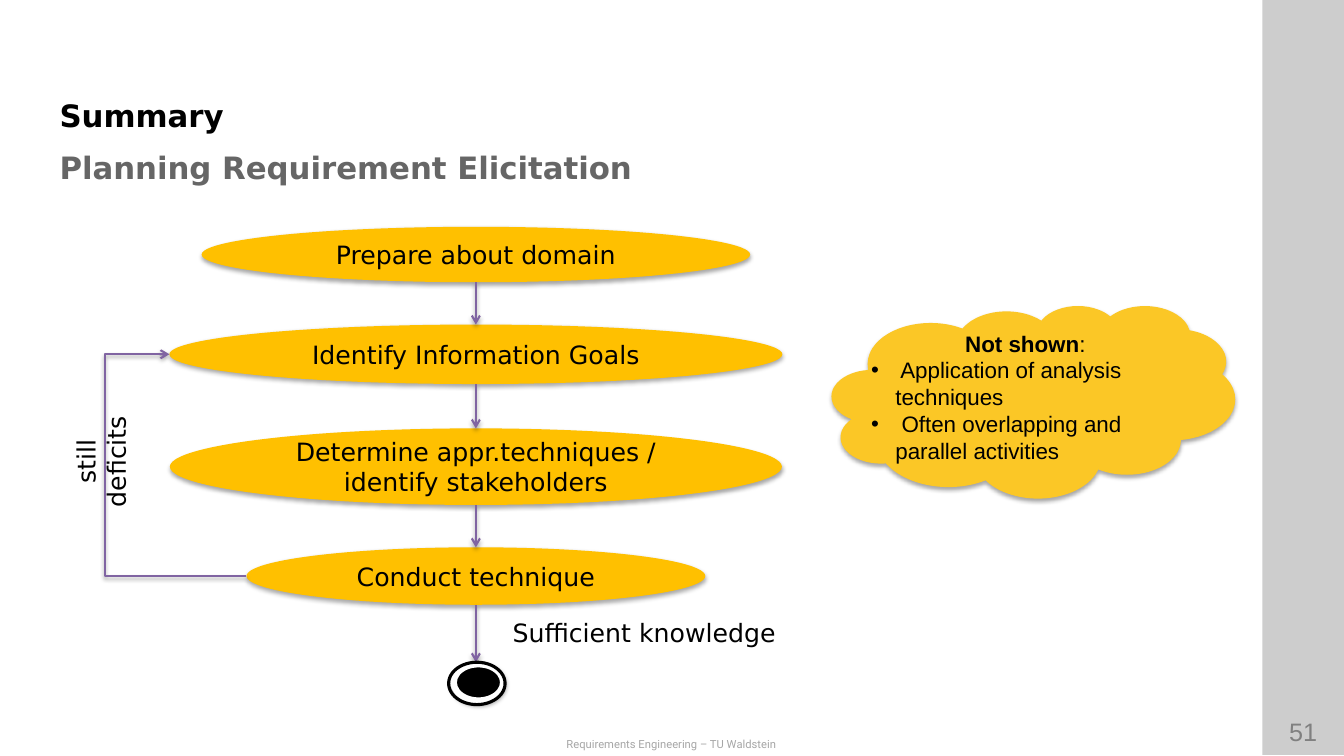
from dataclasses import dataclass
from itertools import pairwise

from lxml.etree import SubElement
from pptx import Presentation
from pptx.dml.color import RGBColor
from pptx.enum.shapes import MSO_CONNECTOR as Connector, MSO_SHAPE as Preset
from pptx.enum.text import MSO_ANCHOR as Anchor, MSO_AUTO_SIZE as AutoSize, PP_ALIGN as Align
from pptx.oxml.ns import qn
from pptx.util import Inches, Pt

BLACK = RGBColor(0x00, 0x00, 0x00)
WHITE = RGBColor(0xFF, 0xFF, 0xFF)
AMBER = RGBColor(0xFF, 0xC0, 0x00)
CLOUD_YELLOW = RGBColor(0xFB, 0xC7, 0x26)
PURPLE = RGBColor(0x80, 0x64, 0xA2)
SIDEBAR_GREY = RGBColor(0xCD, 0xCD, 0xCD)
SUBTITLE_GREY = RGBColor(0x66, 0x66, 0x66)
NUMBER_GREY = RGBColor(0x80, 0x80, 0x80)
FOOTER_GREY = RGBColor(0xA6, 0xA6, 0xA6)

MAIN_FONT = "DejaVu Sans"
CELL = Inches(0.1)  # one column or row of the grid
FLOW_CENTER = 47.2  # column shared by all steps
LOOP_COLUMN = 10.4  # column of the feedback line


@dataclass(frozen=True)
class Box:
    """A place on the grid, in columns and rows."""
    left: float
    top: float
    width: float
    height: float

    def lengths(self) -> list[int]:
        return [cells(n) for n in (self.left, self.top, self.width, self.height)]


@dataclass(frozen=True)
class Step:
    text: str
    top: float
    width: float
    height: float

    @property
    def left(self) -> float:
        return FLOW_CENTER - self.width / 2

    @property
    def bottom(self) -> float:
        return self.top + self.height

    @property
    def middle(self) -> float:
        return self.top + self.height / 2


@dataclass(frozen=True)
class Label:
    text: str
    box: Box
    size: float = 18
    font: str = MAIN_FONT
    color: RGBColor = BLACK
    rotation: float = 0


STEPS = [
    Step("Prepare about domain", 22.5, 54.4, 5.5),
    Step("Identify Information Goals", 32.2, 60.8, 5.9),
    Step("Determine appr.techniques / identify stakeholders", 42.5, 60.7, 7.6),
    Step("Conduct technique", 54.3, 45.5, 5.7),
]
END_TOP = 65.7
LABELS = [
    Label("51", Box(125.1, 70.6, 8.3, 4), 18, "Arial", NUMBER_GREY),
    Label("Requirements Engineering – TU Waldstein", Box(0, 72.7, 133.2, 2.3), 8, "Roboto", FOOTER_GREY),
    Label("still deficits", Box(2.5, 42.3, 15, 7), rotation=270),
    Label("Sufficient knowledge", Box(45.6, 60.8, 36.6, 4)),
]
CLOUD_POINTS = [" Application of analysis techniques", " Often overlapping and parallel activities"]


def cells(count: float) -> int:
    return round(count * CELL)


def format_text(paragraph, size: float, font: str, color: RGBColor, align, bold: bool = False) -> None:
    paragraph.alignment = align
    paragraph.space_before = Pt(0)
    paragraph.font.size = Pt(size)
    paragraph.font.name = font
    paragraph.font.color.rgb = color
    paragraph.font.bold = bold


def set_indent(paragraph, margin: int, bullet: bool) -> None:
    properties = paragraph._p.get_or_add_pPr()
    properties.set("marL", str(margin))
    properties.set("indent", str(-margin))
    if not bullet:
        SubElement(properties, qn("a:buNone"))


def add_shadow(shape) -> None:
    properties = shape.element.spPr
    effects = properties.find(qn("a:effectLst"))
    if effects is None:
        effects = SubElement(properties, qn("a:effectLst"))
    shadow = SubElement(effects, qn("a:outerShdw"), blurRad=str(Pt(3.1)), dist=str(Pt(1.8)),
                        dir="5400000", rotWithShape="0")
    color = SubElement(shadow, qn("a:srgbClr"), val=str(BLACK))
    SubElement(color, qn("a:alpha"), val="35000")


def add_preset(slide, preset, box: Box, fill: RGBColor | None, line: RGBColor | None = None,
               line_width: float = 0, shadow: bool = True):
    shape = slide.shapes.add_shape(preset, *box.lengths())
    shape.shadow.inherit = False
    if fill is None:
        shape.fill.background()
    else:
        shape.fill.solid()
        shape.fill.fore_color.rgb = fill
    if line is None:
        shape.line.fill.background()
    else:
        shape.line.color.rgb = line
        shape.line.width = Pt(line_width)
    if shadow:
        add_shadow(shape)
    return shape


def add_step(slide, step: Step) -> None:
    box = Box(step.left, step.top, step.width, step.height)
    frame = add_preset(slide, Preset.OVAL, box, AMBER).text_frame
    frame.word_wrap = True
    frame.vertical_anchor = Anchor.MIDDLE
    frame.text = step.text
    format_text(frame.paragraphs[0], 18, MAIN_FONT, BLACK, Align.CENTER)


def add_arrow(slide, kind, *ends: float):
    arrow = slide.shapes.add_connector(kind, *(cells(end) for end in ends))
    arrow.line.color.rgb = PURPLE
    arrow.line.width = Pt(1.5)
    SubElement(arrow.line._get_or_add_ln(), qn("a:tailEnd"), type="arrow")
    add_shadow(arrow)
    return arrow


def add_label(slide, label: Label) -> None:
    text_box = slide.shapes.add_textbox(*label.box.lengths())
    text_box.rotation = label.rotation
    frame = text_box.text_frame
    frame.word_wrap = True
    frame.text = label.text
    format_text(frame.paragraphs[0], label.size, label.font, label.color, Align.CENTER)


def place(placeholder, box: Box, anchor, inset: bool):
    placeholder.left, placeholder.top, placeholder.width, placeholder.height = box.lengths()
    frame = placeholder.text_frame
    frame.word_wrap = True
    frame.auto_size = AutoSize.NONE
    frame.vertical_anchor = anchor
    if not inset:
        frame.margin_left = frame.margin_right = frame.margin_top = frame.margin_bottom = 0
    return frame


def fill_heading(placeholder, text: str, top: float, anchor, color: RGBColor) -> None:
    frame = place(placeholder, Box(5.9, top, 113.2, 5.4), anchor, inset=False)
    frame.text = text
    set_indent(frame.paragraphs[0], 0, bullet=False)
    format_text(frame.paragraphs[0], 22, MAIN_FONT, color, Align.LEFT, bold=True)


def fill_cloud_list(placeholder) -> None:
    frame = place(placeholder, Box(85.4, 32.2, 32.6, 14.3), Anchor.TOP, inset=True)
    heading = frame.paragraphs[0]
    set_indent(heading, 0, bullet=False)
    format_text(heading, 16, "Arial", BLACK, Align.CENTER)
    for text, bold in (("Not shown", True), (":", False)):
        run = heading.add_run()
        run.text = text
        run.font.bold = bold
    for point in CLOUD_POINTS:
        paragraph = frame.add_paragraph()
        paragraph.text = point
        set_indent(paragraph, cells(2.4), bullet=True)
        format_text(paragraph, 16, "Arial", BLACK, Align.LEFT)


def main() -> None:
    presentation = Presentation()
    presentation.slide_width, presentation.slide_height = Inches(13.33), Inches(7.5)
    slide = presentation.slides.add_slide(presentation.slide_layouts[3])
    title, subtitle, cloud_list = slide.placeholders

    # Headings and sidebar
    fill_heading(title, "Summary", 7.9, Anchor.BOTTOM, BLACK)
    fill_heading(subtitle, "Planning Requirement Elicitation", 13.9, Anchor.MIDDLE, SUBTITLE_GREY)
    add_preset(slide, Preset.RECTANGLE, Box(125.2, 0, 8.1, 74.9), SIDEBAR_GREY, shadow=False)

    # Steps and the arrows leading down to the end point
    for step in STEPS:
        add_step(slide, step)
    for step, next_top in pairwise([*STEPS, None]):
        target = next_top.top if next_top else END_TOP
        add_arrow(slide, Connector.STRAIGHT, FLOW_CENTER, step.bottom, FLOW_CENTER, target)

    # Feedback loop from the last step to the second
    start, end = STEPS[-1], STEPS[1]
    loop = add_arrow(slide, Connector.ELBOW, start.left, start.middle, end.left, end.middle)
    bend = (start.left - LOOP_COLUMN) / (start.left - end.left)
    adjustments = loop.element.spPr.find(qn("a:prstGeom")).get_or_add_avLst()
    SubElement(adjustments, qn("a:gd"), name="adj1", fmla=f"val {round(bend * 100000)}")

    # Cloud with its list on top
    cloud = add_preset(slide, Preset.CLOUD, Box(82.5, 30.3, 40, 19.1), CLOUD_YELLOW)
    fill_cloud_list(cloud_list)
    cloud.element.addnext(cloud_list.element)

    # Labels and end point
    for label in LABELS:
        add_label(slide, label)
    add_preset(slide, Preset.OVAL, Box(45, 65.9, 4.9, 3.6), BLACK, WHITE, 4.5)
    add_preset(slide, Preset.OVAL, Box(44.5, 65.7, 5.6, 4.2), None, BLACK, 2.25, shadow=False)

    presentation.save("out.pptx")


if __name__ == "__main__":
    main()
